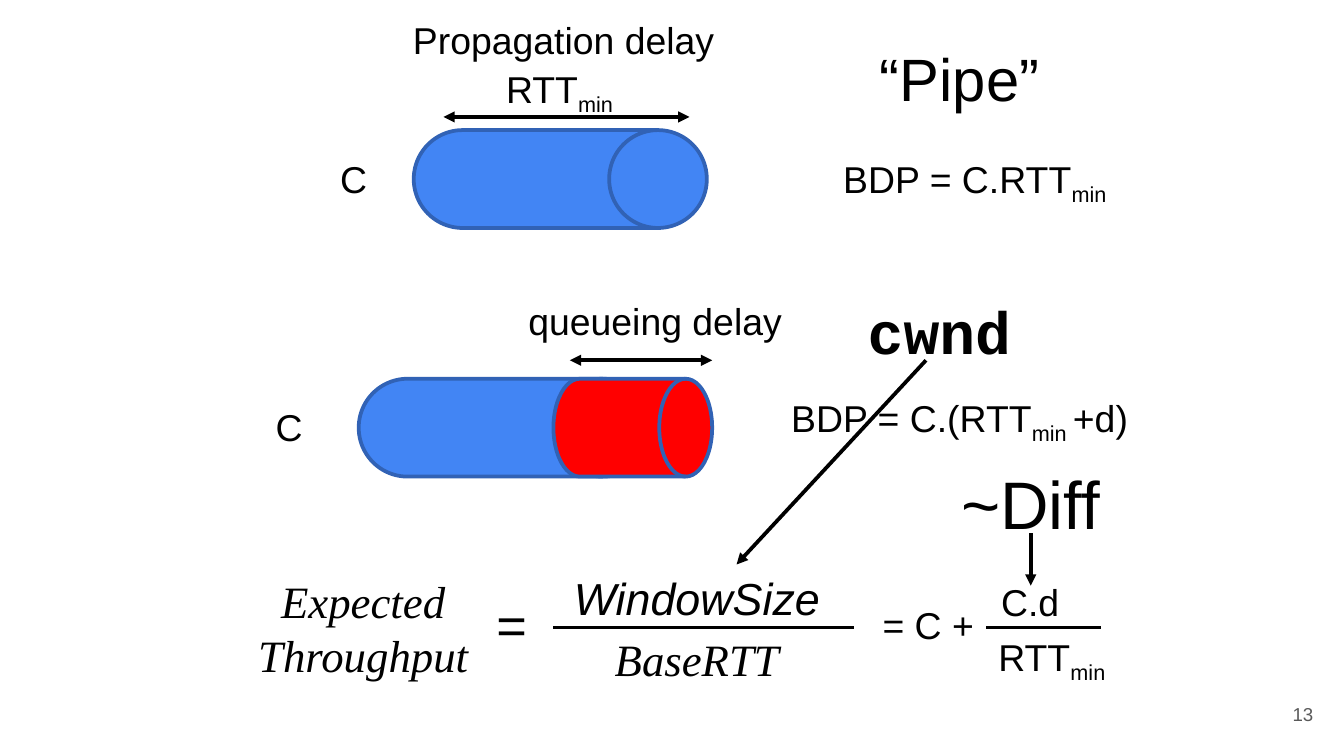
from lxml import etree
from pptx import Presentation
from pptx import util as u
from pptx.dml.color import RGBColor
from pptx.enum import shapes, text
from pptx.oxml.ns import qn

BLACK = RGBColor(0x00, 0x00, 0x00)
GREY = RGBColor(0x59, 0x59, 0x59)
BLUE = RGBColor(0x42, 0x85, 0xF4)
DARK_BLUE = RGBColor(0x31, 0x62, 0xB5)
RED = RGBColor(0xFF, 0x00, 0x00)

SANS, SERIF, MONO = "Arial", "Times New Roman", "Courier New"
CENTER, LEFT, RIGHT = text.PP_ALIGN.CENTER, text.PP_ALIGN.LEFT, text.PP_ALIGN.RIGHT
TOP, MIDDLE, BOTTOM = text.MSO_ANCHOR.TOP, text.MSO_ANCHOR.MIDDLE, text.MSO_ANCHOR.BOTTOM

presentation = Presentation()
presentation.slide_width = u.Cm(25.4)
presentation.slide_height = u.Cm(14.29)
slide = presentation.slides.add_slide(presentation.slide_layouts[6])


def add_label(content, left, top, width, height, size=20, font=SANS, bold=False,
              italic=False, color=BLACK, align=CENTER, anchor=TOP):
    """Add a text box; parts of the content between underscores become subscripts."""
    box = slide.shapes.add_textbox(u.Cm(left), u.Cm(top), u.Cm(width), u.Cm(height))
    frame = box.text_frame
    frame.word_wrap = True
    frame.vertical_anchor = anchor
    if anchor != TOP:
        frame.margin_top = frame.margin_bottom = u.Cm(0.25)
    for line_number, line in enumerate(content.split("\n")):
        paragraph = frame.add_paragraph() if line_number else frame.paragraphs[0]
        paragraph.alignment = align
        for index, part in enumerate(line.split("_")):
            if not part:
                continue
            run = paragraph.add_run()
            run.text = part
            run.font.size = u.Pt(size)
            run.font.name = font
            run.font.bold = bold
            run.font.italic = italic
            run.font.color.rgb = color
            if index % 2:
                run.font._element.set("baseline", "-25000")


def add_line(x1, y1, x2, y2, arrow_ends=()):
    line = slide.shapes.add_connector(
        shapes.MSO_CONNECTOR.STRAIGHT, u.Cm(x1), u.Cm(y1), u.Cm(x2), u.Cm(y2))
    line.line.color.rgb = BLACK
    line.line.width = u.Pt(2)
    for end in arrow_ends:
        etree.SubElement(line.get_or_add_ln(), qn(f"a:{end}"), type="triangle")
    etree.SubElement(line._element.spPr, qn("a:effectLst"))


# Pipes: the empty one, then the one with a red queue at its end
for left, top, width, fill in [
    (7.82, 2.46, 5.54, BLUE),
    (6.78, 7.16, 5.54, BLUE),
    (10.46, 7.16, 3.0, RED),
]:
    drum = slide.shapes.add_shape(
        shapes.MSO_SHAPE.FLOWCHART_DIRECT_ACCESS_STORAGE,
        u.Cm(left), u.Cm(top), u.Cm(width), u.Cm(1.85))
    drum.shadow.inherit = False
    drum.fill.solid()
    drum.fill.fore_color.rgb = fill
    drum.line.color.rgb = DARK_BLUE
    drum.line.width = u.Pt(2)

# Pipe with propagation delay only
add_label("Propagation delay", 7.39, 0.2, 6.53, 1.12)
add_label("RTT_min_", 8.86, 1.12, 3.43, 1.12)
add_line(8.38, 2.21, 13.03, 2.21, ("headEnd", "tailEnd"))
add_label("C", 5.54, 2.82, 2.29, 1.12)
add_label("“Pipe”", 16.18, 0.66, 3.91, 1.63, size=32)
add_label("BDP = C.RTT_min_", 15.16, 2.82, 6.53, 1.12)

# Pipe with queueing delay
add_label("queueing delay", 9.45, 5.51, 5.87, 1.12)
add_line(10.77, 6.81, 13.46, 6.81, ("headEnd", "tailEnd"))
add_label("C", 4.32, 7.52, 2.29, 1.12)
add_label("BDP = C.(RTT_min _+d)", 13.46, 7.34, 9.35, 1.12)
add_label("cwnd", 15.8, 5.44, 3.91, 1.63, size=32, font=MONO, bold=True)

# Expected throughput = WindowSize / BaseRTT
add_label("Expected\nThroughput", 4.06, 10.67, 5.61, 2.46,
          size=24, font=SERIF, italic=True, anchor=BOTTOM)
add_label("=", 8.97, 11.07, 1.37, 1.02, size=28, italic=True)
add_label("WindowSize", 8.84, 10.67, 8.66, 0.91, size=24, italic=True)
add_label("BaseRTT", 8.84, 11.82, 8.66, 0.91, size=24, font=SERIF, italic=True)
add_line(10.46, 11.86, 16.15, 11.86)

# = C + C.d / RTTmin
add_label("= C +", 16.43, 11.25, 2.44, 1.12, align=LEFT)
add_label("C.d", 17.83, 10.82, 3.28, 1.12)
add_label("RTT_min_", 18.24, 11.86, 3.28, 1.12)
add_line(18.64, 11.86, 20.8, 11.86)

# Notes pointing at the formula
add_label("~Diff", 17.2, 8.61, 4.55, 1.8, size=36)
add_line(19.48, 10.08, 19.48, 11.07, ("tailEnd",))
add_line(17.5, 6.81, 13.92, 10.67, ("tailEnd",))

add_label("13", 23.55, 12.95, 1.52, 1.09, size=10, color=GREY,
          align=RIGHT, anchor=MIDDLE)

presentation.save("out.pptx")
